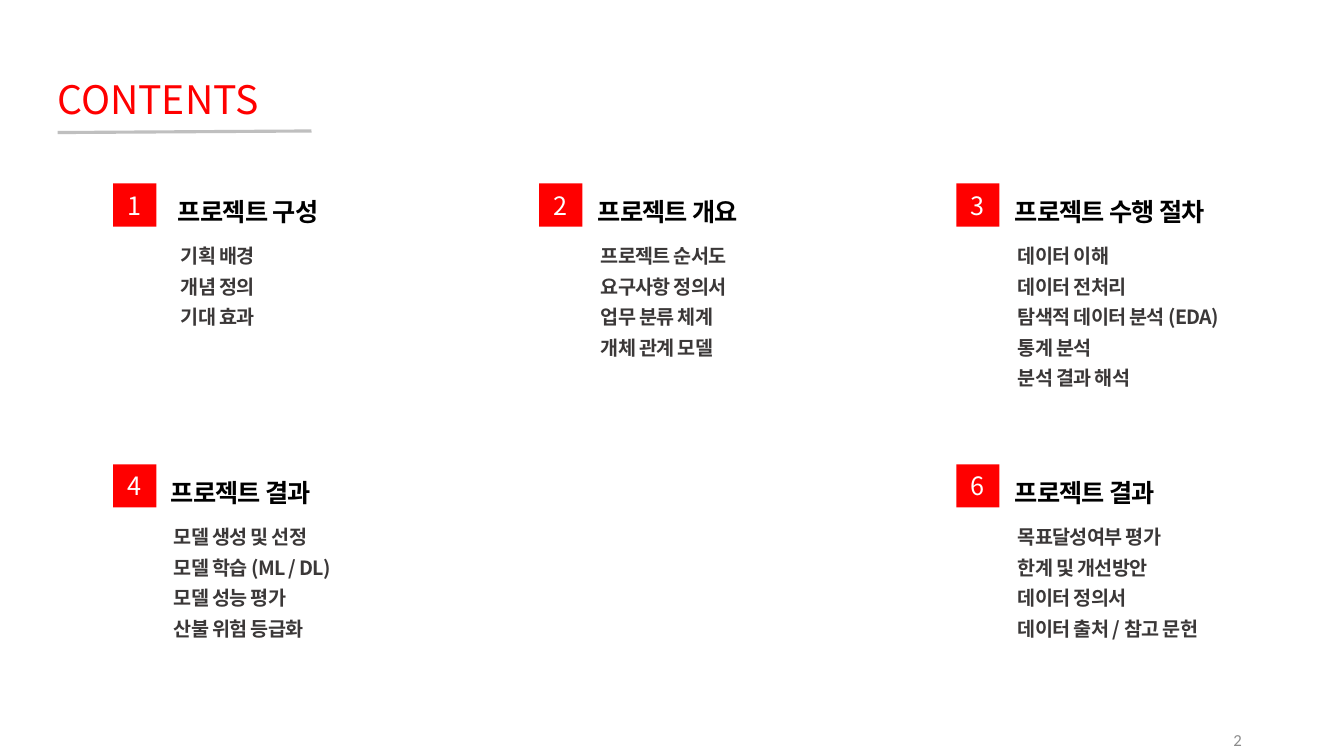
from pptx import Presentation
from pptx.dml.color import RGBColor
from pptx.enum.shapes import MSO_CONNECTOR as Connector, MSO_SHAPE as Shape
from pptx.enum.text import MSO_ANCHOR as Anchor, MSO_AUTO_SIZE as AutoSize, PP_ALIGN as Align
from pptx.oxml.ns import qn
from pptx.util import Cm, Pt
from lxml import etree

RED = RGBColor(0xFF, 0x00, 0x00)
WHITE = RGBColor(0xFF, 0xFF, 0xFF)
BLACK = RGBColor(0x00, 0x00, 0x00)
CHARCOAL = RGBColor(0x3B, 0x38, 0x38)
GRAY = RGBColor(0x8C, 0x8C, 0x8C)
SILVER = RGBColor(0xBF, 0xBF, 0xBF)
KOREAN = "Noto Sans CJK KR"

HEADING = "CONTENTS"
PAGE = "2"

# number, column, row, title, title offset, title width, items width, items
SECTIONS = [
    ("1", 0, 0, "프로젝트 구성", 1.63, 3.58, 4.5,
     ["기획 배경", "개념 정의", "기대 효과"]),
    ("2", 1, 0, "프로젝트 개요", 1.47, 3.58, 3.56,
     ["프로젝트 순서도", "요구사항 정의서", "업무 분류 체계", "개체 관계 모델"]),
    ("3", 2, 0, "프로젝트 수행 절차", 1.47, 4.88, 5.23,
     ["데이터 이해", "데이터 전처리", "탐색적 데이터 분석 (EDA)", "통계 분석", "분석 결과 해석"]),
    ("4", 0, 1, "프로젝트 결과", 1.45, 3.58, 4.17,
     ["모델 생성 및 선정", "모델 학습 (ML / DL)", "모델 성능 평가", "산불 위험 등급화"]),
    ("6", 2, 1, "프로젝트 결과", 1.47, 3.58, 4.62,
     ["목표달성여부 평가", "한계 및 개선방안", "데이터 정의서", "데이터 출처 / 참고 문헌"]),
]
COLUMNS = [2.85, 13.59, 24.1]
ROWS = [4.62, 11.7]
BADGE = 1.09
TITLE_DROP = 0.17
ITEMS_DROP = 1.35
ITEMS_INDENT = 0.08
LINE_HEIGHT = 0.78

deck = Presentation()
deck.slide_width, deck.slide_height = Cm(33.87), Cm(19.05)
slide = deck.slides.add_slide(deck.slide_layouts[6])


def write(frame, lines, size, color, font=KOREAN, bold=False, align=Align.LEFT,
          spacing=None, tracking=None):
    frame.text = "\n".join(lines)
    for paragraph in frame.paragraphs:
        paragraph.alignment = align
        paragraph.line_spacing = spacing
        for run in paragraph.runs:
            run.font.size, run.font.bold, run.font.name = Pt(size), bold, font
            run.font.color.rgb = color
            props = run.font._element
            etree.SubElement(props, qn("a:ea")).set("typeface", font)
            if tracking:
                props.set("spc", str(tracking))


def add_text(left, top, width, height, lines, size, color, wrap=True, **style):
    frame = slide.shapes.add_textbox(Cm(left), Cm(top), Cm(width), Cm(height)).text_frame
    frame.margin_left = frame.margin_right = frame.margin_top = frame.margin_bottom = 0
    frame.word_wrap = wrap
    frame.auto_size = AutoSize.SHAPE_TO_FIT_TEXT
    write(frame, lines, size, color, **style)
    return frame


def add_badge(left, top, number):
    badge = slide.shapes.add_shape(Shape.RECTANGLE, Cm(left), Cm(top), Cm(BADGE), Cm(BADGE))
    badge.shadow.inherit = False
    badge.fill.solid()
    badge.fill.fore_color.rgb = RED
    badge.line.fill.background()
    badge.text_frame.vertical_anchor = Anchor.MIDDLE
    write(badge.text_frame, [number], 18, WHITE, align=Align.CENTER)


page = add_text(30.86, 18.59, 0.44, 0.13, [PAGE], 12, GRAY, font="Calibri", align=Align.RIGHT)
page.auto_size = AutoSize.NONE
page.vertical_anchor = Anchor.MIDDLE

for number, column, row, title, offset, title_width, items_width, items in SECTIONS:
    left, top = COLUMNS[column], ROWS[row]
    title_left = left + offset
    add_badge(left, top, number)
    add_text(title_left, top + TITLE_DROP, title_width, 0.91, [title], 18, BLACK,
             wrap=False, bold=True, spacing=1.2, tracking=-50)
    add_text(title_left + ITEMS_INDENT, top + ITEMS_DROP, items_width, LINE_HEIGHT * len(items),
             items, 14, CHARCOAL, bold=True, spacing=1.3, tracking=-50)

underline = slide.shapes.add_connector(Connector.STRAIGHT, Cm(1.45), Cm(3.34), Cm(7.85), Cm(3.3))
underline.line.color.rgb = SILVER
underline.line.width = Pt(2.25)
etree.SubElement(underline._element.spPr, qn("a:effectLst"))

add_text(1.45, 1.9, 6.98, 1.2, [HEADING], 28, RED)

deck.save("out.pptx")
